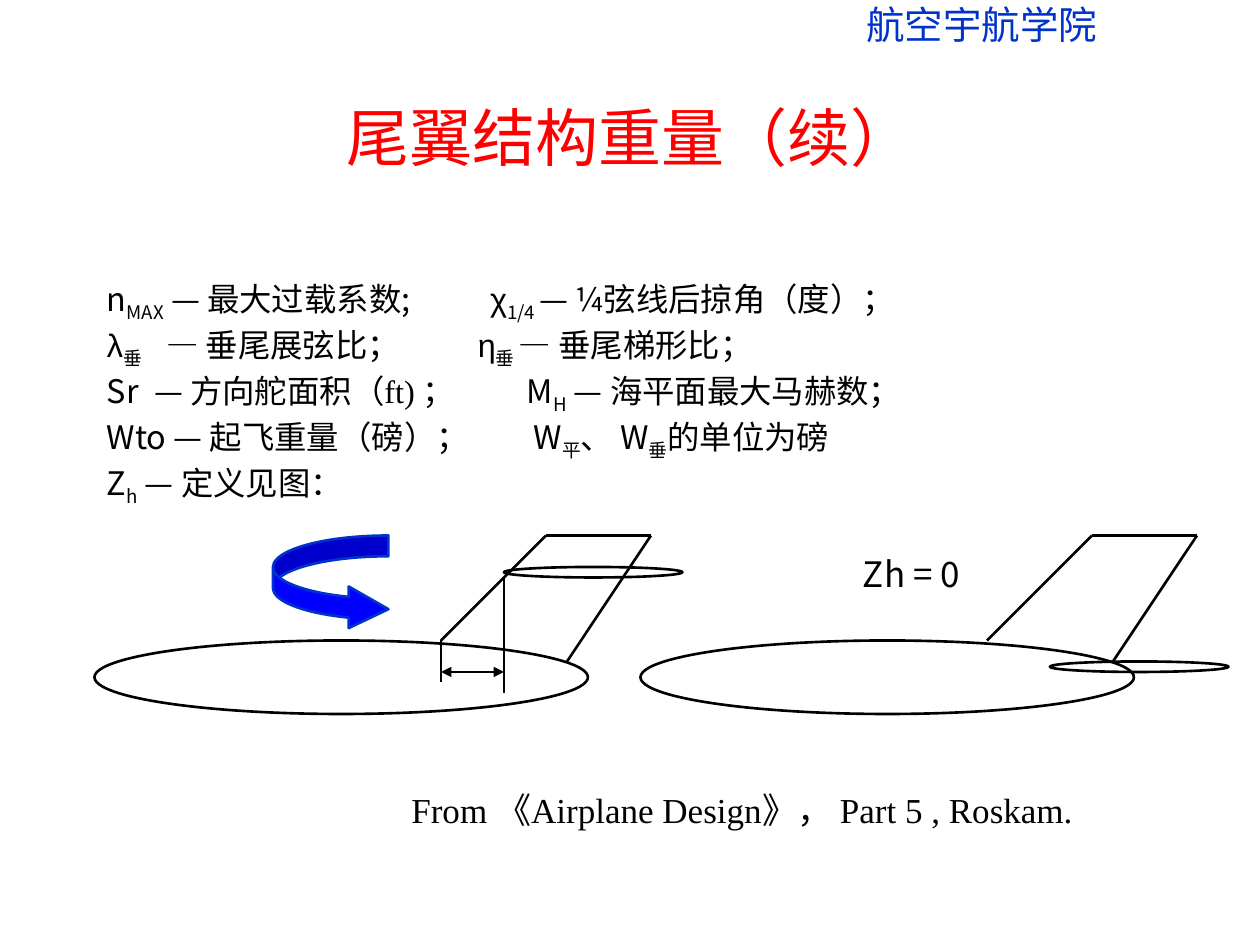
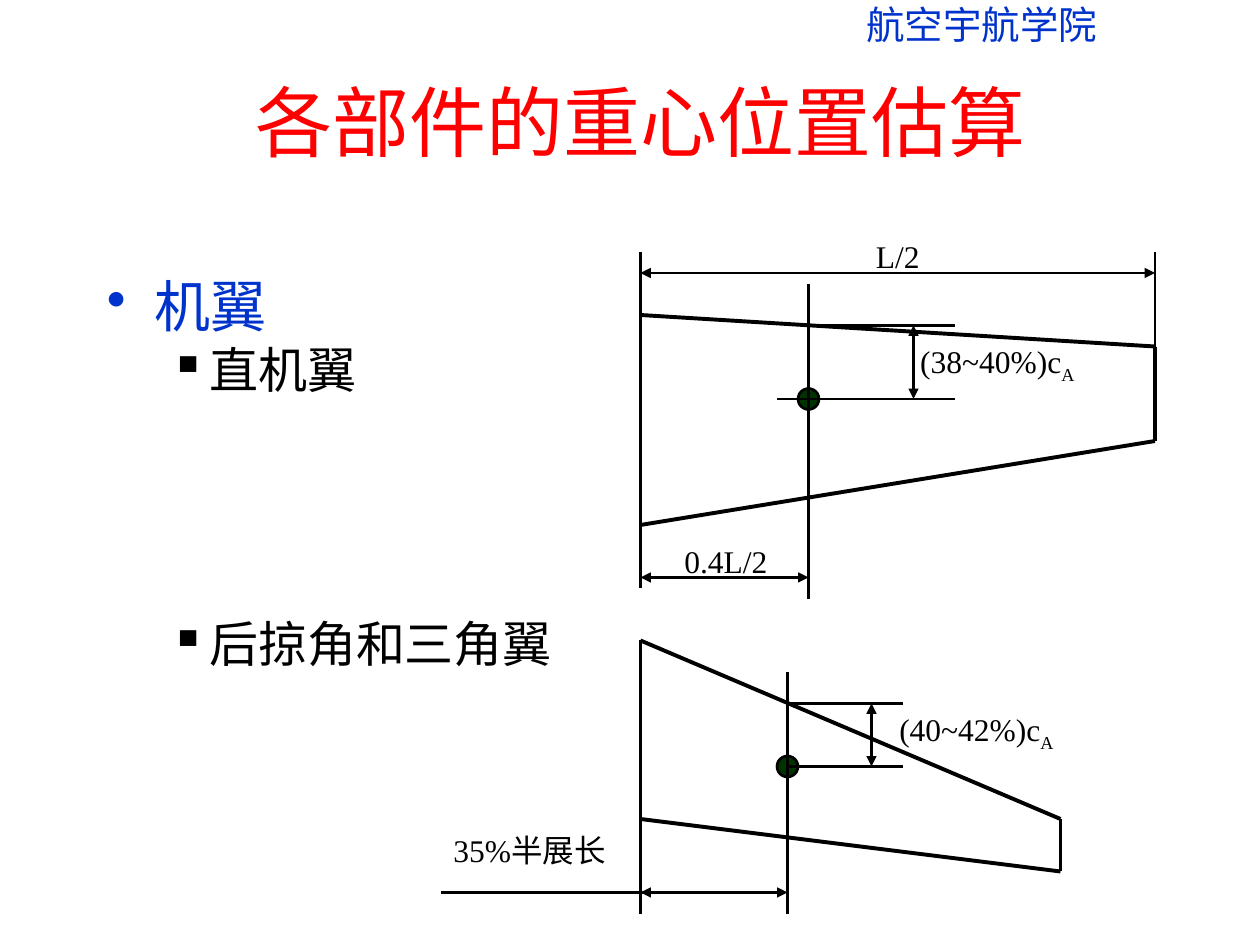
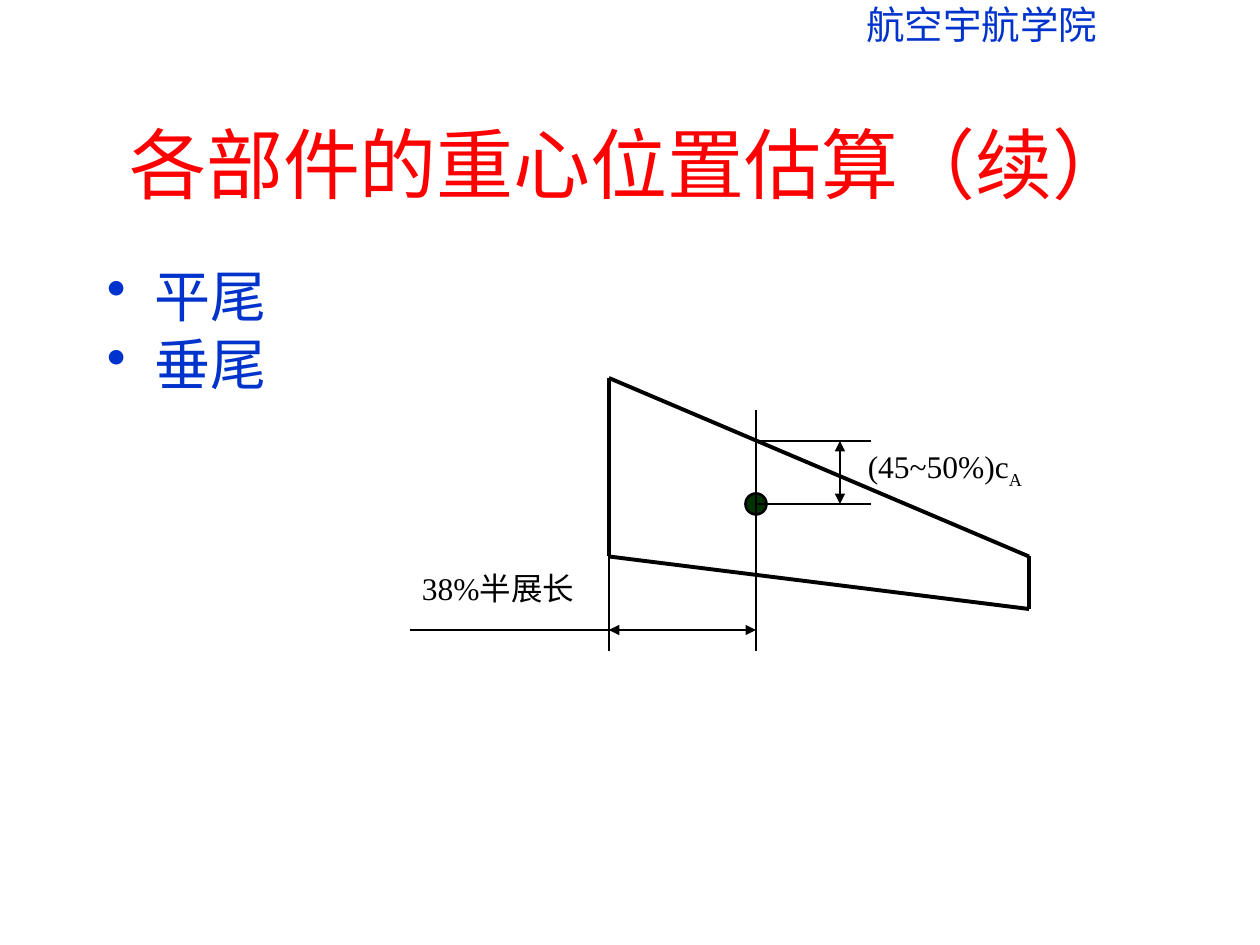
import pptx
import pptx.dml.color
import pptx.enum.shapes
import pptx.enum.text
import pptx.oxml
import pptx.oxml.ns
import pptx.util

Pt = pptx.util.Pt
SHAPE = pptx.enum.shapes.MSO_SHAPE
CENTER = pptx.enum.text.PP_ALIGN.CENTER
MIDDLE = pptx.enum.text.MSO_ANCHOR.MIDDLE

BLACK, RED, BLUE = "000000", "FF0000", "0033CC"
ARROW_BLUE, DOT_GREEN = "0000FF", "003300"
SERIF, SANS, GREEK = "Times New Roman", "Noto Sans CJK SC", "Arial"
TIGHT = 0.9  # line spacing of Chinese text
SUB = {"sub": True}
CHI = {"name": GREEK}
ROMAN = {"name": SERIF}


def color(value):
    return pptx.dml.color.RGBColor.from_string(value)


def add_xml(parent, tag, **attrs):
    el = pptx.oxml.parse_xml(f"<{tag} {pptx.oxml.ns.nsdecls('a')}/>")
    for key, value in attrs.items():
        el.set(key, str(value))
    parent.append(el)
    return el


def text_box(s, x, y, w, h, anchor=None):
    tf = s.shapes.add_textbox(Pt(x), Pt(y), Pt(w), Pt(h)).text_frame
    tf.word_wrap = True
    if anchor is not None:
        tf.vertical_anchor = anchor
    return tf


def paragraph(tf, runs, size, name=SERIF, ink=BLACK, tabs=(), bullet=None, indent=(0, 0), **fmt):
    """Add a paragraph; runs is a string or a list of (text, changes)."""
    p = tf.paragraphs[0] if not tf.paragraphs[0].runs else tf.add_paragraph()
    for key, value in fmt.items():
        setattr(p, key, value)
    pPr = p._p.get_or_add_pPr()
    if bullet:
        left, hang = indent
        pPr.set("marL", str(Pt(left)))
        pPr.set("indent", str(Pt(-hang)))
        add_xml(add_xml(pPr, "a:buClr"), "a:srgbClr", val=ink)
        add_xml(pPr, "a:buChar", char=bullet)
    if tabs:
        tab_list = add_xml(pPr, "a:tabLst")
        for pos in tabs:
            add_xml(tab_list, "a:tab", pos=Pt(pos), algn="l")
    for text, change in [(runs, {})] if isinstance(runs, str) else runs:
        r = p.add_run()
        r.text = text
        font = {"size": Pt(size), "name": change.get("name", name)}
        for key, value in font.items():
            setattr(r.font, key, value)
        r.font.color.rgb = color(ink)
        rPr = r._r.get_or_add_rPr()
        add_xml(rPr, "a:ea", typeface=SANS)
        if change.get("sub"):
            rPr.set("baseline", "-25000")


def label(s, x, y, w, runs, size=18, **fmt):
    paragraph(text_box(s, x, y, w, 30), runs, size, **fmt)


def line(s, x1, y1, x2, y2, width=1.5, arrows=False):
    c = s.shapes.add_connector(pptx.enum.shapes.MSO_CONNECTOR.STRAIGHT, Pt(x1), Pt(y1), Pt(x2), Pt(y2))
    c.line.color.rgb = color(BLACK)
    c.line.width = Pt(width)
    if arrows:
        ln = c.line._get_or_add_ln()
        for end in ("a:headEnd", "a:tailEnd"):
            add_xml(ln, end, type="triangle")
    add_xml(c._element.spPr, "a:effectLst")


def polyline(s, points, width=1.5):
    for start, end in zip(points, points[1:]):
        line(s, *start, *end, width)


def shape(s, kind, x, y, w, h, fill=None, outline=BLACK):
    sp = s.shapes.add_shape(kind, Pt(x), Pt(y), Pt(w), Pt(h))
    sp.shadow.inherit = False
    if fill:
        sp.fill.solid()
        sp.fill.fore_color.rgb = color(fill)
    else:
        sp.fill.background()
    sp.line.color.rgb = color(outline)
    sp.line.width = Pt(1.5)
    return sp


def gravity_center(s, x, y):
    shape(s, SHAPE.OVAL, x - 6, y - 6, 12, 12, DOT_GREEN)


def chord_label(s, x, y, percent):
    label(s, x, y, 108, [(f"({percent})c", {}), ("A", SUB)], alignment=CENTER)


def new_slide(prs, title, x, y, h, size, name=SERIF):
    s = prs.slides.add_slide(prs.slide_layouts[6])
    label(s, 486, 0, 150, "航空宇航学院", 22, ink=BLUE, alignment=CENTER, line_spacing=TIGHT)
    paragraph(text_box(s, x, y, 612, h, MIDDLE), title, size, name, RED, alignment=CENTER)
    return s


def topic(tf, text, gap=0):
    paragraph(tf, text, 32, ink=BLUE, bullet="•", indent=(27, 27), line_spacing=TIGHT, space_before=Pt(gap))


def subtopic(tf, text, gap):
    paragraph(tf, text, 28, bullet="▪", indent=(58.5, 22.5), line_spacing=TIGHT, space_before=Pt(gap))


def rear_fuselage(s, x, tail_x, tail_y):
    """Fuselage at x with a fin, and a tailplane placed at tail_x, tail_y."""
    shape(s, SHAPE.OVAL, x, 366, 282, 42)
    polyline(s, [(x + 198, 366), (x + 258, 306), (x + 318, 306), (x + 270, 378)])
    shape(s, SHAPE.OVAL, tail_x, tail_y, 102, 6)


def straight_wing(s):
    root, tip, cg_x, cg_y = 366, 660, 462, 228
    polyline(s, [(root, 300), (root, 180), (tip, 198), (tip, 252), (root, 300)], 2.25)
    gravity_center(s, cg_x, cg_y)
    line(s, cg_x, 162, cg_x, 342)
    line(s, root, 294, root, 336)
    line(s, 444, cg_y, 546, cg_y)
    line(s, cg_x, 186, 546, 186)
    line(s, root, 330, cg_x, 330, arrows=True)
    line(s, 522, 186, 522, cg_y, arrows=True)
    line(s, root, 144, root, 186)
    line(s, tip, 198, tip, 144)
    line(s, root, 156, tip, 156, arrows=True)
    label(s, 450, 132, 126, "L/2", alignment=CENTER)
    label(s, 384, 306, 66, "0.4L/2")
    chord_label(s, 516, 192, "38~40%")


def swept_wing(s, x, y, chord, span):
    """Swept surface whose root leading edge is at x, y."""
    cg_x, cg_y = x + 84, y + 72
    polyline(s, [(x, y + 102), (x, y), (x + 240, y + 102), (x + 240, y + 132), (x, y + 102)], 2.25)
    gravity_center(s, cg_x, cg_y)
    line(s, x, y + 102, x, y + 156)
    line(s, cg_x, y + 18, cg_x, y + 156)
    for level in (cg_y, y + 36):
        line(s, cg_x, level, x + 150, level)
    line(s, x, y + 144, cg_x, y + 144, arrows=True)
    line(s, x + 132, y + 36, x + 132, cg_y, arrows=True)
    chord_label(s, x + 138, y + 36, chord)
    line(s, x + 6, y + 144, x - 114, y + 144)
    label(s, x - 114, y + 108, 114, f"{span}半展长", line_spacing=TIGHT)


def tail_weight(prs):
    s = new_slide(prs, "尾翼结构重量（续）", 54, 48, 60, 36, SANS)
    definitions = [
        ((219,), [("n", {}), ("MAX", SUB), (" — 最大过载系数;\t", {}), ("χ", CHI), ("1/4 ", SUB),
                  ("— ¼弦线后", {}), ("掠角（度）", ROMAN), ("；", {})]),
        ((34, 212), [("λ", CHI), ("垂", SUB), ("\t— 垂尾展弦比；\t", {}), ("η", CHI), ("垂 ", SUB),
                     ("— 垂尾梯形比；", {})]),
        ((27, 240), [("Sr\t— 方向舵面积", {}), ("（ft) ", ROMAN), ("；\tM", {}), ("H", SUB),
                     (" — 海平面最大马赫数；", {})]),
        ((244,), [("Wto — 起飞重量（磅）；\tW", {}), ("平", SUB), ("、 W", {}), ("垂", SUB),
                  ("的单位为磅", {})]),
        ((), [("Z", {}), ("h", SUB), (" — 定义见图：", {})]),
    ]
    tf = text_box(s, 54, 156, 612, 162)
    for i, (tabs, runs) in enumerate(definitions):
        paragraph(tf, runs, 18.5, SANS, tabs=tabs, line_spacing=TIGHT, space_before=Pt(3.6 if i else 0))
    label(s, 228, 450, 462, "From 《Airplane Design》， Part 5 , Roskam.", 20, line_spacing=TIGHT)

    rear_fuselage(s, 54, 288, 324)
    line(s, 252, 366, 252, 390)
    line(s, 288, 330, 288, 396)
    line(s, 252, 384, 288, 384, arrows=True)
    turn = shape(s, SHAPE.CURVED_RIGHT_ARROW, 156, 306, 66, 54, ARROW_BLUE, BLUE)
    for i, value in enumerate((0.22, 0.44, 0.42)):
        turn.adjustments[i] = value
    rear_fuselage(s, 366, 600, 378)
    label(s, 486, 312, 84, "Zh = 0", 20, name=SANS)


def wing_gravity_centers(prs):
    s = new_slide(prs, "各部件的重心位置估算", 60, 24, 90, 44)
    tf = text_box(s, 54, 156, 282, 324)
    topic(tf, "机翼")
    subtopic(tf, "直机翼", 3.7)
    subtopic(tf, "后掠角和三角翼", 126.5)
    straight_wing(s)
    swept_wing(s, 366, 366, "40~42%", "35%")


def tail_gravity_centers(prs):
    s = new_slide(prs, "各部件的重心位置估算（续）", 54, 48, 90, 44)
    tf = text_box(s, 54, 150, 204, 324)
    topic(tf, "平尾")
    topic(tf, "垂尾", 4.6)
    swept_wing(s, 348, 216, "45~50%", "38%")


def main():
    prs = pptx.Presentation()
    prs.slide_width, prs.slide_height = Pt(720), Pt(540)
    tail_weight(prs)
    wing_gravity_centers(prs)
    tail_gravity_centers(prs)
    prs.save("out.pptx")


if __name__ == "__main__":
    main()
